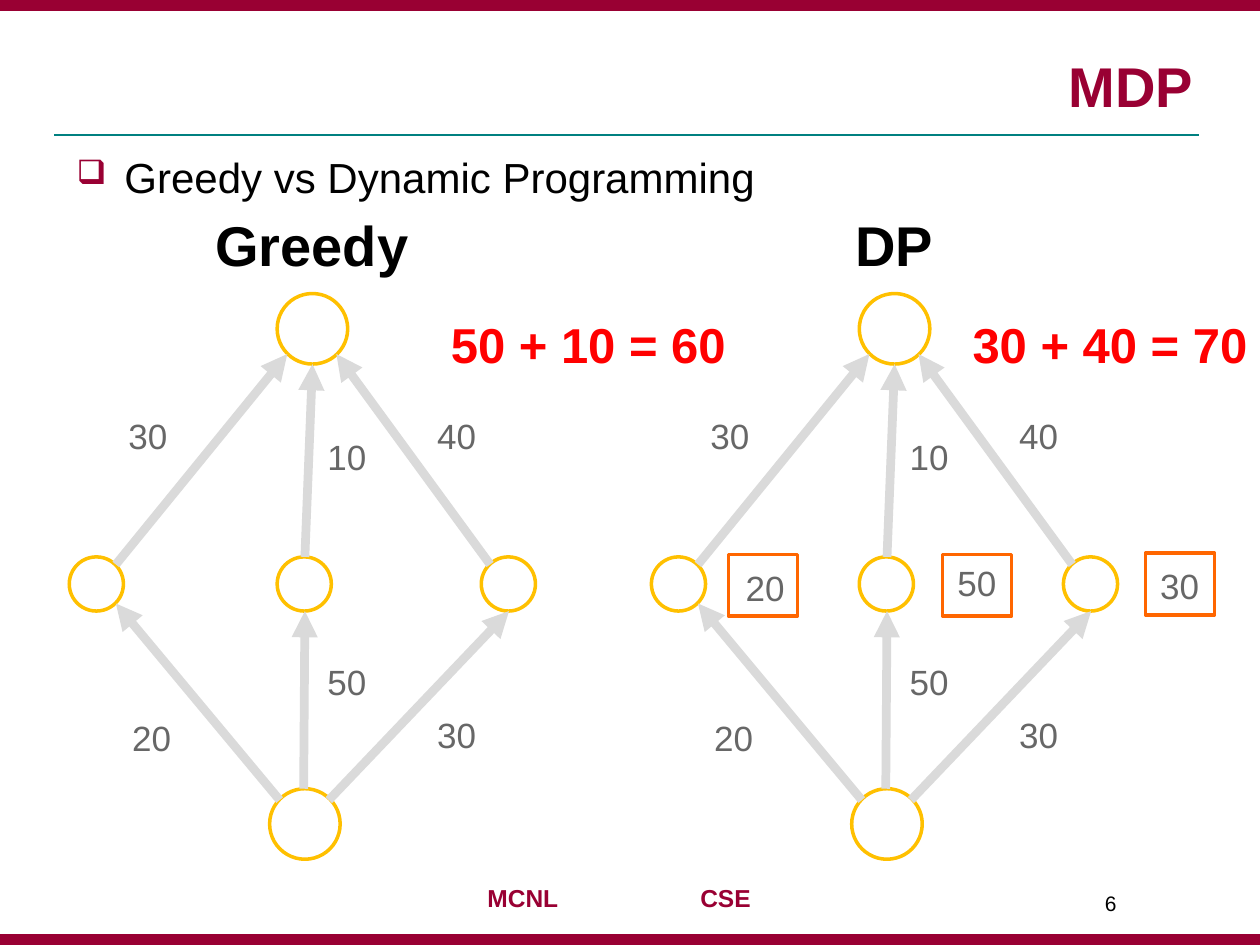
"""Build a slide comparing greedy search with dynamic programming on a path graph."""
from typing import NamedTuple

from lxml import etree
from pptx import Presentation
from pptx import util as u
from pptx.dml.color import RGBColor
from pptx.enum import shapes, text
from pptx.oxml import ns

WINE = RGBColor(0x99, 0x00, 0x33)
TEAL = RGBColor(0x00, 0x80, 0x80)
GOLD = RGBColor(0xFF, 0xC0, 0x00)
PALE = RGBColor(0xDA, 0xDA, 0xDA)
GRAY = RGBColor(0x67, 0x67, 0x67)
ORANGE = RGBColor(0xFF, 0x66, 0x00)
RED = RGBColor(0xFF, 0x00, 0x00)
BLACK = RGBColor(0x00, 0x00, 0x00)
FONT = "Arial"
SHIFT = 4.62


class Node(NamedTuple):
    left: float
    top: float
    size: float


class Edge(NamedTuple):
    x1: float
    y1: float
    x2: float
    y2: float


class Label(NamedTuple):
    words: str
    left: float
    top: float
    width: float = 0.51
    height: float = 0.44
    size: int = 20
    color: RGBColor = GRAY
    bold: bool = False


class Cost(NamedTuple):
    left: float
    top: float
    label: Label


NODES = [
    Node(2.2, 2.33, 0.56), Node(2.14, 6.26, 0.56),
    Node(2.2, 4.42, 0.43), Node(3.82, 4.42, 0.43), Node(0.55, 4.42, 0.43),
]
EDGES = [
    Edge(2.41, 6.26, 2.42, 4.85), Edge(2.61, 6.35, 4.04, 4.85),
    Edge(2.22, 6.35, 0.92, 4.79), Edge(0.92, 4.48, 2.28, 2.81),
    Edge(2.42, 4.42, 2.48, 2.89), Edge(3.89, 4.48, 2.67, 2.81),
]
WEIGHTS = [
    Label("30", 3.37, 5.61), Label("50", 2.5, 5.19), Label("20", 0.95, 5.64),
    Label("40", 3.37, 3.24), Label("10", 2.5, 3.41), Label("30", 0.92, 3.24),
]
COSTS = [
    Cost(9.09, 4.39, Label("30", 9.11, 4.43)),
    Cost(7.48, 4.4, Label("50", 7.5, 4.41)),
    Cost(5.78, 4.4, Label("20", 5.82, 4.45)),
]
LABELS = [
    Label("Greedy", 1.61, 1.62, 1.75, 0.64, 32, BLACK, True),
    Label("DP", 6.69, 1.62, 0.83, 0.64, 32, BLACK, True),
    Label("50 + 10 = 60", 3.48, 2.45, 2.41, 0.57, 28, RED, True),
    Label("30 + 40 = 70", 7.62, 2.45, 2.41, 0.57, 28, RED, True),
    Label("MCNL", 3.77, 6.96, 0.76, 0.34, 14, WINE, True),
    Label("CSE", 5.46, 6.96, 0.6, 0.34, 14, WINE, True),
    Label("6", 8.67, 7.02, 0.83, 0.4, 12, BLACK),
]


def add_run(para, words: str, size: int, color: RGBColor, bold: bool = False) -> None:
    """Append one styled run to a paragraph."""
    run = para.add_run()
    run.text = words
    font = run.font
    font.name, font.size, font.bold = FONT, u.Pt(size), bold
    font.color.rgb = color


def add_label(slide, item: Label, dx: float = 0) -> None:
    """Place a line of text that does not wrap."""
    box = slide.shapes.add_textbox(
        u.Inches(item.left + dx), u.Inches(item.top),
        u.Inches(item.width), u.Inches(item.height))
    box.text_frame.word_wrap = False
    para = box.text_frame.paragraphs[0]
    para.alignment = text.PP_ALIGN.LEFT
    add_run(para, item.words, item.size, item.color, item.bold)


def add_shape(slide, kind, box: tuple, color: RGBColor, width: float, solid: bool = False) -> None:
    """Draw an outlined shape, filled with its line colour if solid."""
    shape = slide.shapes.add_shape(kind, *map(u.Inches, box))
    shape.shadow.inherit = False
    if solid:
        shape.fill.solid()
        shape.fill.fore_color.rgb = color
    else:
        shape.fill.background()
    shape.line.color.rgb = color
    shape.line.width = u.Pt(width)


def add_line(slide, edge: Edge, color: RGBColor, width: float, arrow: bool = False) -> None:
    """Draw a straight line, with an arrowhead at its end if asked."""
    line = slide.shapes.add_connector(
        shapes.MSO_CONNECTOR.STRAIGHT, *map(u.Inches, edge))
    line.line.color.rgb = color
    line.line.width = u.Pt(width)
    if arrow:
        etree.SubElement(line.line._get_or_add_ln(), ns.qn("a:tailEnd"), type="triangle")
    etree.SubElement(line._element.spPr, ns.qn("a:effectLst"))


def add_graph(slide, dx: float) -> None:
    """Draw the weighted graph moved right by dx."""
    for node in NODES:
        box = (node.left + dx, node.top, node.size, node.size)
        add_shape(slide, shapes.MSO_SHAPE.OVAL, box, GOLD, 2)
    for edge in EDGES:
        moved = edge._replace(x1=edge.x1 + dx, x2=edge.x2 + dx)
        add_line(slide, moved, PALE, 5, True)
    for item in WEIGHTS:
        add_label(slide, item, dx)


def add_title(slide) -> None:
    """Move and fill the title placeholder."""
    title = slide.shapes.title
    title.left, title.top = u.Inches(0.5), u.Inches(0.25)
    title.width, title.height = u.Inches(9.07), u.Inches(0.74)
    frame = title.text_frame
    frame.vertical_anchor = text.MSO_ANCHOR.BOTTOM
    para = frame.paragraphs[0]
    para.alignment = text.PP_ALIGN.RIGHT
    add_run(para, "MDP", 32, WINE, True)


def add_bullet(slide) -> None:
    """Write the bulleted topic line."""
    box = slide.shapes.add_textbox(*map(u.Inches, (0.51, 1.15, 9, 0.5)))
    box.text_frame.word_wrap = True
    para = box.text_frame.paragraphs[0]
    props = para._p.get_or_add_pPr()
    props.set("marL", str(u.Inches(0.38)))
    props.set("indent", str(-u.Inches(0.38)))
    color = etree.SubElement(props, ns.qn("a:buClr"))
    etree.SubElement(color, ns.qn("a:srgbClr"), val=str(WINE))
    etree.SubElement(props, ns.qn("a:buSzPct"), val="80000")
    etree.SubElement(props, ns.qn("a:buChar"), char="❑")
    add_run(para, "Greedy vs Dynamic Programming", 24, BLACK)


def main() -> None:
    """Build and save the slide."""
    deck = Presentation()
    deck.slide_width, deck.slide_height = u.Inches(10), u.Inches(7.5)
    slide = deck.slides.add_slide(deck.slide_layouts[5])
    add_line(slide, Edge(0.43, 1.07, 9.52, 1.07), TEAL, 1)
    for top in (7.42, 0):
        add_shape(slide, shapes.MSO_SHAPE.RECTANGLE, (0, top, 10, 0.08), WINE, 0.75, True)
    add_title(slide)
    add_bullet(slide)
    for dx in (0, SHIFT):
        add_graph(slide, dx)
    for cost in COSTS:
        box = (cost.left, cost.top, 0.55, 0.49)
        add_shape(slide, shapes.MSO_SHAPE.RECTANGLE, box, ORANGE, 2)
        add_label(slide, cost.label)
    for item in LABELS:
        add_label(slide, item)
    deck.save("out.pptx")


if __name__ == "__main__":
    main()
